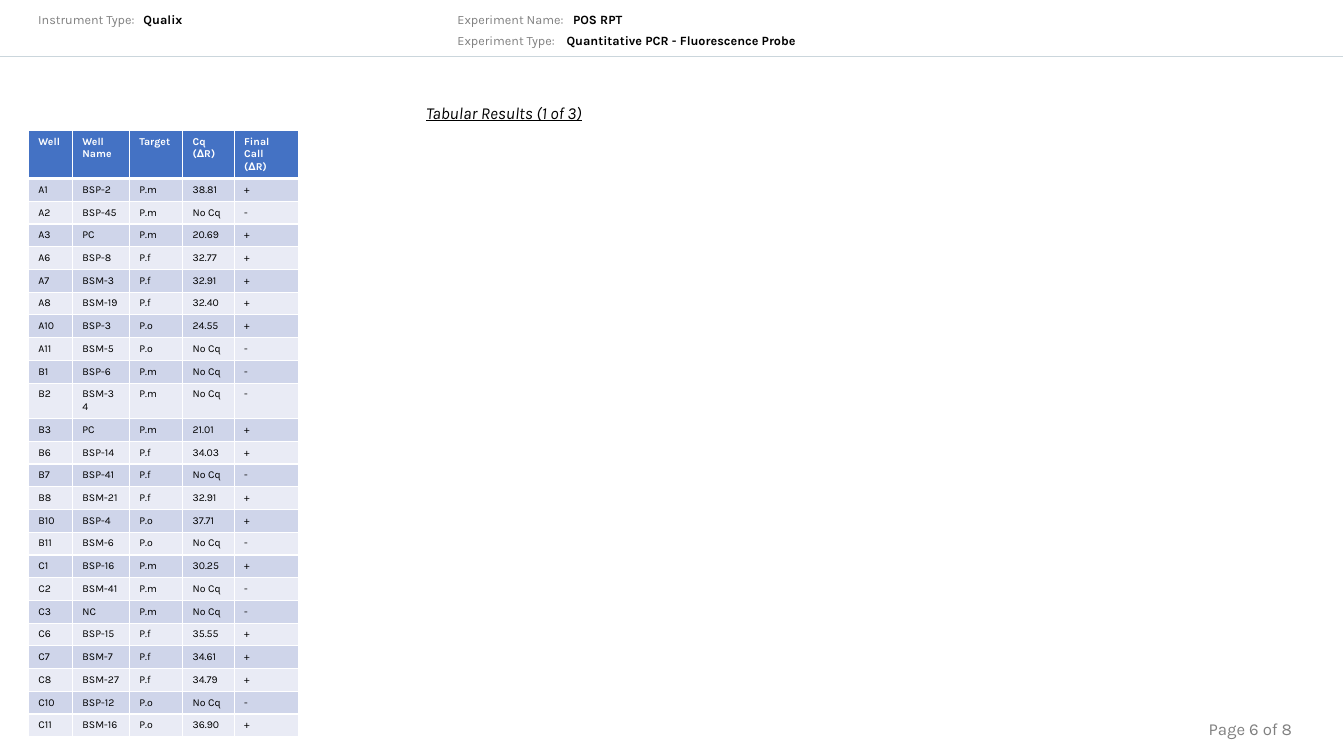
"""Build the tabular results page of a PCR report."""
from lxml.etree import SubElement
from pptx import Presentation
from pptx.dml.color import RGBColor
from pptx.enum.shapes import MSO_CONNECTOR as Connector
from pptx.enum.text import MSO_ANCHOR as Anchor, PP_ALIGN as Align
from pptx.oxml.ns import qn
from pptx.util import Pt

BLACK = RGBColor(0x00, 0x00, 0x00)
GREY = RGBColor(0x80, 0x80, 0x80)
WHITE = RGBColor(0xFF, 0xFF, 0xFF)
RULE = RGBColor(0xCB, 0xD6, 0xDC)
HEADER = RGBColor(0x44, 0x72, 0xC4)
BANDS = [RGBColor(0xE9, 0xEB, 0xF5), RGBColor(0xCF, 0xD5, 0xEA)]


def write(frame, text, size, color, bold=False, align=Align.LEFT):
    frame.text = text
    frame.word_wrap = True
    for para in frame.paragraphs:
        para.alignment = align
        para.font.name = "Karla"
        para.font.size = Pt(size)
        para.font.bold = bold
        para.font.color.rgb = color


def add_border(cell, side, width):
    line = SubElement(cell._tc.get_or_add_tcPr(), qn(f"a:ln{side}"), w=str(Pt(width)))
    fill = SubElement(line, qn("a:solidFill"))
    SubElement(fill, qn("a:srgbClr"), val=str(WHITE))


deck = Presentation()
deck.slide_width, deck.slide_height = Pt(960), Pt(540)
page = deck.slides.add_slide(deck.slide_layouts[5])

header_fields = [
    ("Instrument Type:", 20.2, "Qualix", 95.4, 5),
    ("Experiment Name:", 319.7, "POS RPT", 402.2, 5),
    ("Experiment Type:", 319.7, "Quantitative PCR - Fluorescence Probe", 397.6, 20.2),
]
for label, label_left, value, value_left, top in header_fields:
    label_box = page.shapes.add_textbox(Pt(label_left), Pt(top), Pt(100), Pt(18))
    write(label_box.text_frame, label, 9, GREY)
    value_box = page.shapes.add_textbox(Pt(value_left), Pt(top), Pt(220), Pt(18))
    write(value_box.text_frame, value, 9, BLACK, bold=True)

rule = page.shapes.add_connector(Connector.STRAIGHT, Pt(0), Pt(40.3), Pt(959), Pt(40.3))
rule.line.color.rgb = RULE
rule.line.width = Pt(0.5)
SubElement(rule._element.spPr, qn("a:effectLst"))

page_box = page.shapes.add_textbox(Pt(810), Pt(509.8), Pt(120), Pt(21.6))
write(page_box.text_frame, "Page 6 of 8", 12, GREY, align=Align.RIGHT)

title = page.shapes.title
title.left, title.top, title.width, title.height = Pt(20.2), Pt(69.8), Pt(679.7), Pt(21.6)
title.text_frame.vertical_anchor = Anchor.TOP
write(title.text_frame, "Tabular Results (1 of 3)", 12, BLACK, align=Align.CENTER)
title_font = title.text_frame.paragraphs[0].font
title_font.italic = True
title_font.underline = True

results = [
    ("Well", "Well\nName", "Target", "Cq\n(∆R)", "Final\nCall (∆R)"),
    ("A1", "BSP-2", "P.m", "38.81", "+"),
    ("A2", "BSP-45", "P.m", "No Cq", "-"),
    ("A3", "PC", "P.m", "20.69", "+"),
    ("A6", "BSP-8", "P.f", "32.77", "+"),
    ("A7", "BSM-3", "P.f", "32.91", "+"),
    ("A8", "BSM-19", "P.f", "32.40", "+"),
    ("A10", "BSP-3", "P.o", "24.55", "+"),
    ("A11", "BSM-5", "P.o", "No Cq", "-"),
    ("B1", "BSP-6", "P.m", "No Cq", "-"),
    ("B2", "BSM-34", "P.m", "No Cq", "-"),
    ("B3", "PC", "P.m", "21.01", "+"),
    ("B6", "BSP-14", "P.f", "34.03", "+"),
    ("B7", "BSP-41", "P.f", "No Cq", "-"),
    ("B8", "BSM-21", "P.f", "32.91", "+"),
    ("B10", "BSP-4", "P.o", "37.71", "+"),
    ("B11", "BSM-6", "P.o", "No Cq", "-"),
    ("C1", "BSP-16", "P.m", "30.25", "+"),
    ("C2", "BSM-41", "P.m", "No Cq", "-"),
    ("C3", "NC", "P.m", "No Cq", "-"),
    ("C6", "BSP-15", "P.f", "35.55", "+"),
    ("C7", "BSM-7", "P.f", "34.61", "+"),
    ("C8", "BSM-27", "P.f", "34.79", "+"),
    ("C10", "BSP-12", "P.o", "No Cq", "-"),
    ("C11", "BSM-16", "P.o", "36.90", "+"),
]
column_widths = [31.4, 40.8, 38, 36.9, 45.9]
row_height = 14.4
table = page.shapes.add_table(
    len(results), len(column_widths), Pt(20.2), Pt(93.2),
    Pt(sum(column_widths)), Pt(row_height * len(results)),
).table
for column, width in zip(table.columns, column_widths):
    column.width = Pt(width)

for row_index, result in enumerate(results):
    table.rows[row_index].height = Pt(row_height)
    is_header = row_index == 0
    for column_index, text in enumerate(result):
        cell = table.cell(row_index, column_index)
        write(cell.text_frame, text, 7.5, WHITE if is_header else BLACK, bold=is_header)
        add_border(cell, "L", 1)
        add_border(cell, "R", 1)
        add_border(cell, "T", 3 if row_index == 1 else 1)
        add_border(cell, "B", 3 if is_header else 1)
        cell.fill.solid()
        cell.fill.fore_color.rgb = HEADER if is_header else BANDS[row_index % 2]

deck.save("out.pptx")
